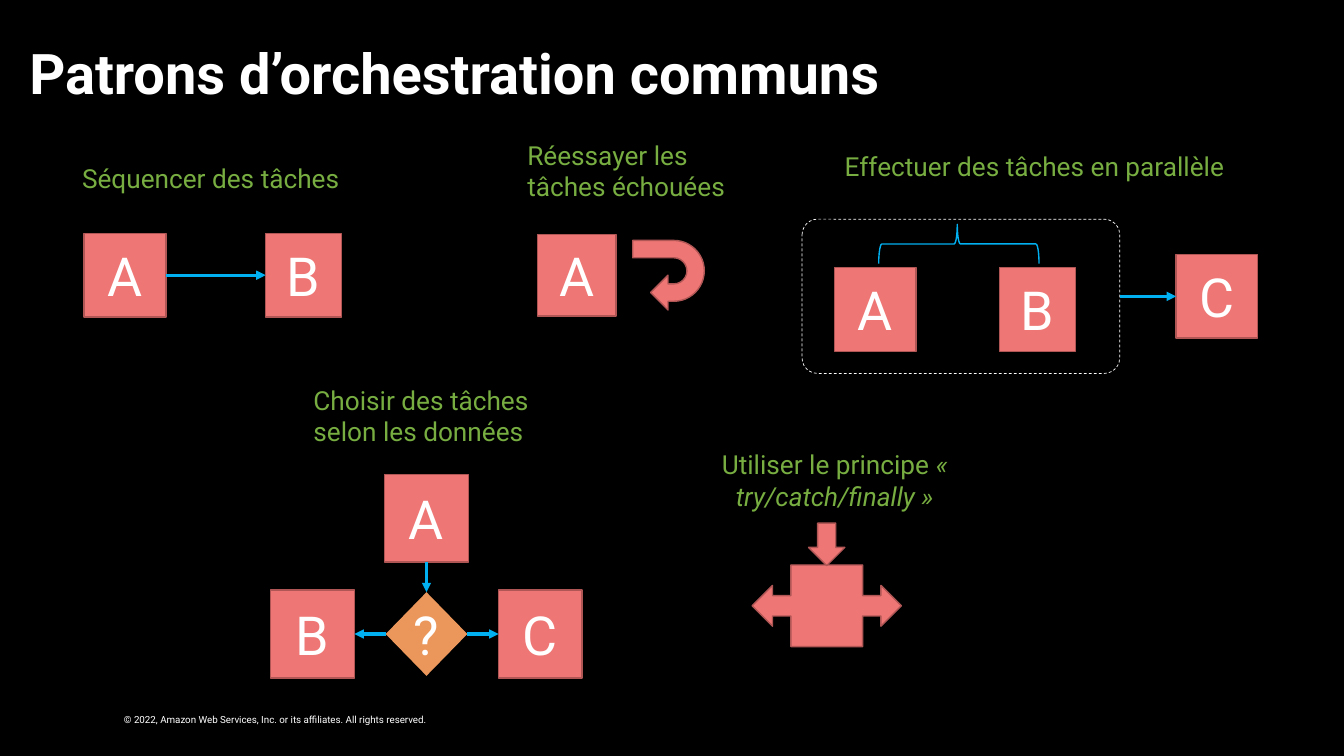
from lxml import etree
from pptx import Presentation
from pptx.dml.color import RGBColor
from pptx.enum.dml import MSO_LINE
from pptx.enum.shapes import MSO_CONNECTOR, MSO_SHAPE
from pptx.enum.text import MSO_ANCHOR, MSO_AUTO_SIZE, PP_ALIGN
from pptx.oxml.ns import qn
from pptx.util import Inches, Pt

FONT = "Roboto"
WHITE, BLACK, GREEN, BLUE = "FFFFFF", "000000", "77AD41", "00B0F0"
CORAL, BRICK, ORANGE = "EE7674", "B05756", "EB975C"
TOP, LEFT, BOTTOM, RIGHT = range(4)

TITLE = "Patrons d’orchestration communs"
COPYRIGHT = "© 2022, Amazon Web Services, Inc. or its affiliates. All rights reserved."

# Headings: box (left, top, width, height), margins (x, y), alignment, runs (text, italic)
HEADINGS = [
    ((0.37, 1.56, 3.44, 0.76), (0.1, 0.05), PP_ALIGN.CENTER, [("Séquencer des tâches", False)]),
    ((5.1, 1.31, 2.53, 0.86), (0.13, 0.07), PP_ALIGN.LEFT, [("Réessayer les tâches échouées", False)]),
    ((8.28, 1.44, 4.53, 0.53), (0.1, 0.05), PP_ALIGN.LEFT, [("Effectuer des tâches en parallèle", False)]),
    ((3.01, 3.76, 2.96, 0.83), (0.1, 0.05), PP_ALIGN.LEFT, [("Choisir des tâches selon les données", False)]),
    ((6.43, 4.38, 3.7, 0.89), (0.13, 0.07), PP_ALIGN.CENTER,
     [("Utiliser le principe ", False), ("« try/catch/finally »", True)]),
]

# Centres of the rows and of the choice diagram
SEQUENCE_Y, PARALLEL_Y, RESULT_Y = 2.73, 3.07, 2.94
CHOICE_X, CHOICE_Y, CHOICE_STEP = 4.23, 6.29, 1.13
WIDE, NARROW, TALL = (0.81, 0.83), (0.75, 0.83), (0.83, 0.87)

# Tasks: name -> (letter, centre x, centre y, size)
TASKS = {
    "sequence A": ("A", 1.24, SEQUENCE_Y, WIDE),
    "sequence B": ("B", 3.01, SEQUENCE_Y, NARROW),
    "retry A": ("A", 5.72, SEQUENCE_Y, (0.78, 0.81)),
    "parallel A": ("A", 8.68, PARALLEL_Y, WIDE),
    "parallel B": ("B", 10.29, PARALLEL_Y, NARROW),
    "parallel C": ("C", 12.07, RESULT_Y, WIDE),
    "choice A": ("A", CHOICE_X, CHOICE_Y - CHOICE_STEP - 0.02, TALL),
    "choice B": ("B", CHOICE_X - CHOICE_STEP, CHOICE_Y, TALL),
    "choice C": ("C", CHOICE_X + CHOICE_STEP, CHOICE_Y, TALL),
}

# Block arrows: preset, centre x, centre y, size, rotation
BLOCK_ARROWS = [
    (MSO_SHAPE.U_TURN_ARROW, 6.63, SEQUENCE_Y, (0.69, 0.71), 90),
    (MSO_SHAPE.LEFT_RIGHT_ARROW_CALLOUT, 8.2, 6.01, (1.48, 0.81), 0),
    (MSO_SHAPE.DOWN_ARROW, 8.2, 5.4, (0.36, 0.42), 0),
]

FLOWS = [
    ("sequence A", RIGHT, "sequence B", LEFT),
    ("parallel frame", RIGHT, "parallel C", LEFT),
    ("choice A", BOTTOM, "choice", TOP),
    ("choice", LEFT, "choice B", RIGHT),
    ("choice", RIGHT, "choice C", LEFT),
]


def color(hex_string):
    return RGBColor.from_string(hex_string)


def add_run(paragraph, text, size, hex_string, bold=False, italic=False):
    run = paragraph.add_run()
    run.text = text
    font = run.font
    font.name, font.size, font.bold, font.italic = FONT, Pt(size), bold, italic
    font.color.rgb = color(hex_string)


def set_margins(frame, x, y):
    frame.margin_left = frame.margin_right = Inches(x)
    frame.margin_top = frame.margin_bottom = Inches(y)


def add_text(slide, box, margins, alignment, runs, size, hex_string):
    frame = slide.shapes.add_textbox(*map(Inches, box)).text_frame
    frame.word_wrap = True
    set_margins(frame, *margins)
    paragraph = frame.paragraphs[0]
    paragraph.alignment = alignment
    for text, italic in runs:
        add_run(paragraph, text, size, hex_string, italic=italic)


def add_centred(slide, preset, x, y, size, fill=None, line=None, width=1, letter=None):
    """Add a preset shape around the point (x, y)."""
    across, down = size
    shape = slide.shapes.add_shape(
        preset, *map(Inches, (x - across / 2, y - down / 2, across, down)))
    shape.shadow.inherit = False
    if fill:
        shape.fill.solid()
        shape.fill.fore_color.rgb = color(fill)
    else:
        shape.fill.background()
    if line:
        shape.line.color.rgb = color(line)
        shape.line.width = Pt(width)
    else:
        shape.line.fill.background()
    if letter:
        frame = shape.text_frame
        set_margins(frame, 0, 0)
        frame.vertical_anchor = MSO_ANCHOR.MIDDLE
        frame.paragraphs[0].alignment = PP_ALIGN.CENTER
        add_run(frame.paragraphs[0], letter, 38.4, WHITE)
    return shape


def add_flow(slide, source, source_side, target, target_side):
    """Join two shapes with a blue arrow."""
    connector = slide.shapes.add_connector(MSO_CONNECTOR.STRAIGHT, 0, 0, 0, 0)
    connector.begin_connect(source, source_side)
    connector.end_connect(target, target_side)
    connector.line.color.rgb = color(BLUE)
    connector.line.width = Pt(2.25)
    etree.SubElement(connector.line._get_or_add_ln(), qn("a:tailEnd"), type="triangle")
    etree.SubElement(connector._element.spPr, qn("a:effectLst"))


def add_title(slide):
    title = slide.shapes.title
    title.left, title.top, title.width, title.height = map(Inches, (0.29, 0.41, 12.75, 0.7))
    frame = title.text_frame
    frame.auto_size = MSO_AUTO_SIZE.NONE
    frame.vertical_anchor = MSO_ANCHOR.TOP
    set_margins(frame, 0, 0.05)
    paragraph = frame.paragraphs[0]
    paragraph.alignment = PP_ALIGN.LEFT
    paragraph.line_spacing = 0.9
    add_run(paragraph, TITLE, 40, WHITE, bold=True)


def main():
    presentation = Presentation()
    presentation.slide_width, presentation.slide_height = Inches(13.33), Inches(7.5)
    slide = presentation.slides.add_slide(presentation.slide_layouts[5])
    slide.background.fill.solid()
    slide.background.fill.fore_color.rgb = color(BLACK)

    add_title(slide)
    add_text(slide, (1.23, 7.08, 4.33, 0.12), (0, 0), PP_ALIGN.LEFT, [(COPYRIGHT, False)], 7, WHITE)
    for box, margins, alignment, runs in HEADINGS:
        add_text(slide, box, margins, alignment, runs, 18.7, GREEN)

    nodes = {name: add_centred(slide, MSO_SHAPE.RECTANGLE, x, y, size, CORAL, BRICK, letter=letter)
             for name, (letter, x, y, size) in TASKS.items()}
    nodes["choice"] = add_centred(
        slide, MSO_SHAPE.DIAMOND, CHOICE_X, CHOICE_Y, WIDE, ORANGE, letter="?")
    frame = add_centred(
        slide, MSO_SHAPE.ROUNDED_RECTANGLE, 9.53, RESULT_Y, (3.15, 1.53), line=WHITE, width=0.5)
    frame.adjustments[0] = 0.1
    frame.line.dash_style = MSO_LINE.DASH
    nodes["parallel frame"] = frame

    brace = add_centred(slide, MSO_SHAPE.LEFT_BRACE, 9.51, 2.42, (0.39, 1.59), line=BLUE)
    brace.rotation = 90
    brace.adjustments[0], brace.adjustments[1] = 0.08, 0.51

    for preset, x, y, size, rotation in BLOCK_ARROWS:
        add_centred(slide, preset, x, y, size, CORAL, BRICK).rotation = rotation
    for source, source_side, target, target_side in FLOWS:
        add_flow(slide, nodes[source], source_side, nodes[target], target_side)

    presentation.save("out.pptx")


if __name__ == "__main__":
    main()
